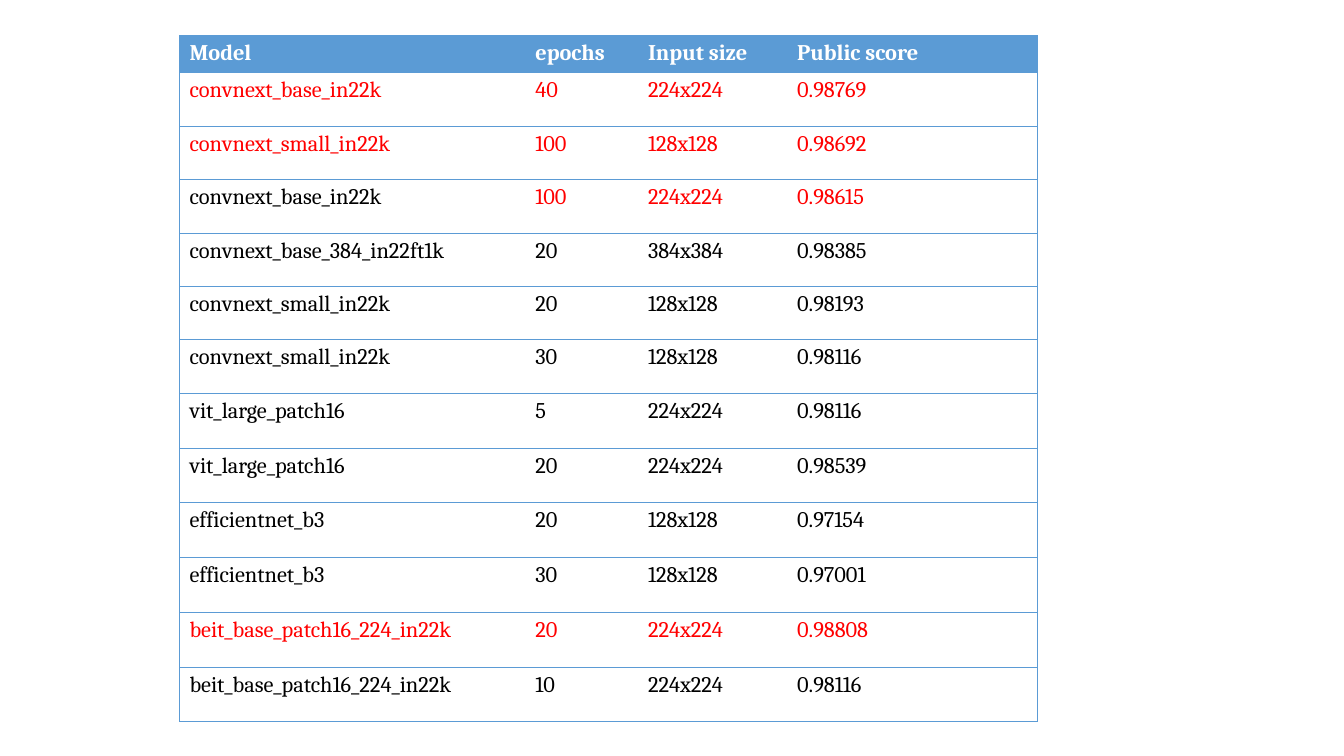
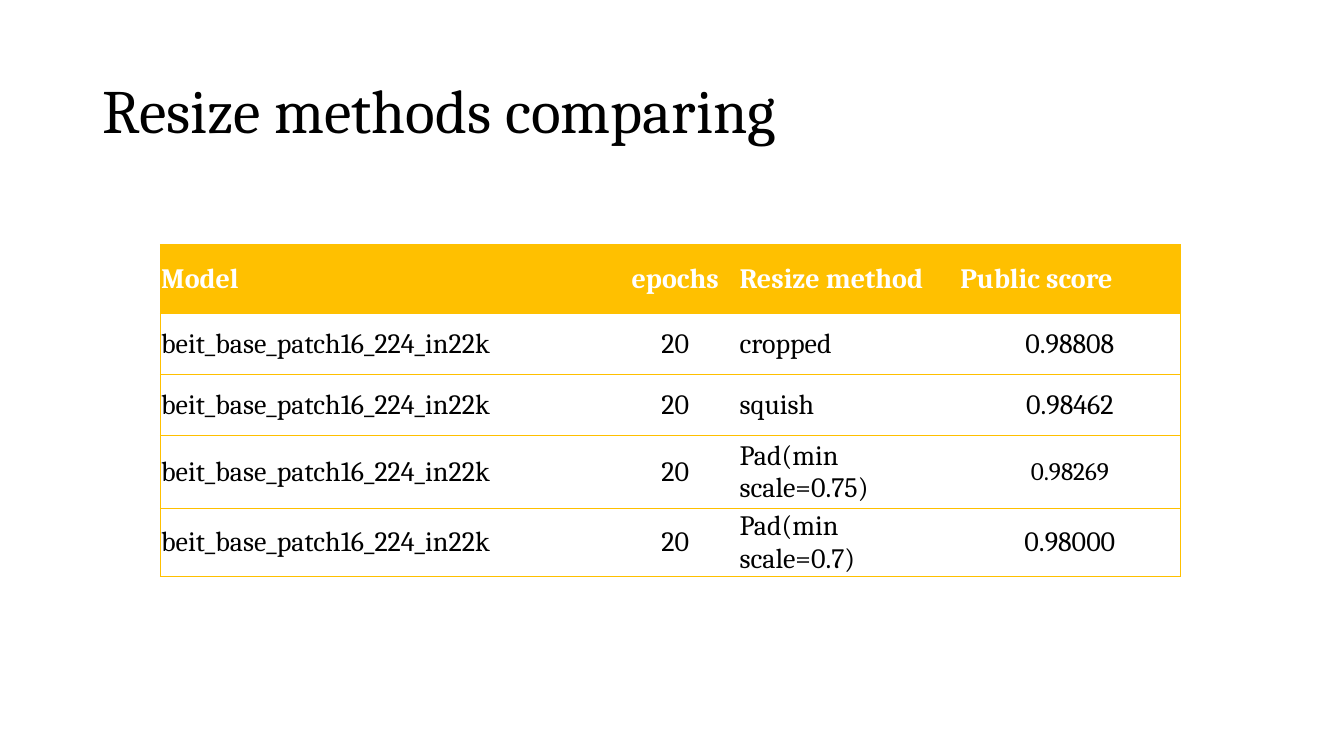
from lxml import etree
from pptx import Presentation
from pptx import util as u
from pptx.dml.color import RGBColor
from pptx.enum import text
from pptx.oxml.ns import qn

COLORS = {
    "white": "FFFFFF",
    "black": "000000",
    "red": "FF0000",
    "blue": "5B9BD5",
    "gold": "FFC000",
}
FONT = "Cambria"
TITLE_ONLY, BLANK = 5, 6
LEFT, CENTER = text.PP_ALIGN.LEFT, text.PP_ALIGN.CENTER
TOP, MIDDLE = text.MSO_ANCHOR.TOP, text.MSO_ANCHOR.MIDDLE


class Deck:
    """Holds the style and the current slide."""

    def __init__(self):
        self.prs = Presentation()
        self.prs.slide_width, self.prs.slide_height = u.Pt(960), u.Pt(540)
        self.s = None

    def add_slide(self, layout):
        self.s = self.prs.slides.add_slide(self.prs.slide_layouts[layout])

    def run(self, p, words, size, color, bold=False):
        r = p.add_run()
        r.text = words
        r.font.name, r.font.size, r.font.bold = FONT, u.Pt(size), bold
        r.font.color.rgb = RGBColor.from_string(COLORS[color])

    def title(self, words):
        sp = self.s.shapes.title
        sp.left, sp.top = u.Pt(66), u.Pt(28.75)
        sp.width, sp.height = u.Pt(828), u.Pt(104.4)
        tf = sp.text_frame
        tf.auto_size = text.MSO_AUTO_SIZE.NONE
        tf.vertical_anchor = MIDDLE
        p = tf.paragraphs[0]
        p.alignment, p.line_spacing = LEFT, 0.9
        self.run(p, words, 44, "black")

    def borders(self, cell, color, sides):
        """Draw the named sides (of L, R, T, B) and clear the others."""
        tc_pr = cell._tc.get_or_add_tcPr()
        for side in "LRTB":
            ln = etree.SubElement(tc_pr, qn(f"a:ln{side}"), w=str(u.Pt(0.5)))
            if side in sides:
                fill = etree.SubElement(ln, qn("a:solidFill"))
                etree.SubElement(fill, qn("a:srgbClr"), val=COLORS[color])
            else:
                etree.SubElement(ln, qn("a:noFill"))

    def table(self, left, top, widths, heights, rows, accent, size,
              anchor=TOP, margins=(7.2, 3.6, 7.2, 3.6), centered=(),
              red=(), sizes=None):
        """centered, red and sizes refer to cells by (row, column)."""
        sizes = sizes or {}
        frame = self.s.shapes.add_table(
            len(rows), len(widths), u.Pt(left), u.Pt(top),
            u.Pt(sum(widths)), u.Pt(sum(heights)))
        table = frame.table
        table.first_row = table.horz_banding = False
        for column, width in zip(table.columns, widths):
            column.width = u.Pt(width)
        for row, height in zip(table.rows, heights):
            row.height = u.Pt(height)

        for i, row in enumerate(rows):
            for j, words in enumerate(row):
                cell, header = table.cell(i, j), i == 0
                sides = "TB" + "L" * (j == 0) + "R" * (j == len(row) - 1)
                self.borders(cell, accent, sides)
                if header:
                    cell.fill.solid()
                    cell.fill.fore_color.rgb = RGBColor.from_string(COLORS[accent])
                else:
                    cell.fill.background()
                cell.vertical_anchor = anchor
                (cell.margin_left, cell.margin_top,
                 cell.margin_right, cell.margin_bottom) = map(u.Pt, margins)
                p = cell.text_frame.paragraphs[0]
                p.alignment = CENTER if (i, j) in centered else LEFT
                color = "white" if header else "red" if (i, j) in red else "black"
                self.run(p, words, sizes.get((i, j), size), color, header)


def model_scores(deck):
    deck.add_slide(BLANK)
    rows = [
        ("Model", "epochs", "Input size", "Public score"),
        ("convnext_base_in22k", "40", "224x224", "0.98769"),
        ("convnext_small_in22k", "100", "128x128", "0.98692"),
        ("convnext_base_in22k", "100", "224x224", "0.98615"),
        ("convnext_base_384_in22ft1k", "20", "384x384", "0.98385"),
        ("convnext_small_in22k", "20", "128x128", "0.98193"),
        ("convnext_small_in22k", "30", "128x128", "0.98116"),
        ("vit_large_patch16", "5", "224x224", "0.98116"),
        ("vit_large_patch16", "20", "224x224", "0.98539"),
        ("efficientnet_b3", "20", "128x128", "0.97154"),
        ("efficientnet_b3", "30", "128x128", "0.97001"),
        ("beit_base_patch16_224_in22k", "20", "224x224", "0.98808"),
        ("beit_base_patch16_224_in22k", "10", "224x224", "0.98116"),
    ]
    # Best scores; the third row keeps its model name black
    best = {(i, j) for i in (1, 2, 3, 11) for j in range(4)} - {(3, 0)}
    deck.table(128.2, 25.4, [247, 80.5, 106.5, 179],
               [26.4] + [38.2] * 6 + [39.1] * 6, rows, "blue", 16, red=best)


def resize_methods(deck):
    deck.add_slide(TITLE_ONLY)
    deck.title("Resize methods comparing")
    model = "beit_base_patch16_224_in22k"
    results = [
        ("cropped", "0.98808"),
        ("squish", "0.98462"),
        ("Pad(min scale=0.75)", "0.98269"),
        ("Pad(min scale=0.7)", "0.98000"),
    ]
    rows = [("Model", "epochs", "Resize method", "Public score")]
    rows += [(model, "20", method, score) for method, score in results]
    # Numbers are centred, and so is the epochs heading
    centered = {(i, j) for i in range(5) for j in (1, 3)} - {(0, 3)}
    deck.table(114.5, 174.8, [322.5, 90.7, 157.7, 157.7],
               [49, 43.7, 43.7, 51.9, 48.8], rows, "gold", 20,
               anchor=MIDDLE, margins=(0.6, 0.6, 0.6, 0),
               centered=centered, sizes={(3, 3): 18})


def main():
    deck = Deck()
    model_scores(deck)
    resize_methods(deck)
    deck.prs.save("out.pptx")


if __name__ == "__main__":
    main()
